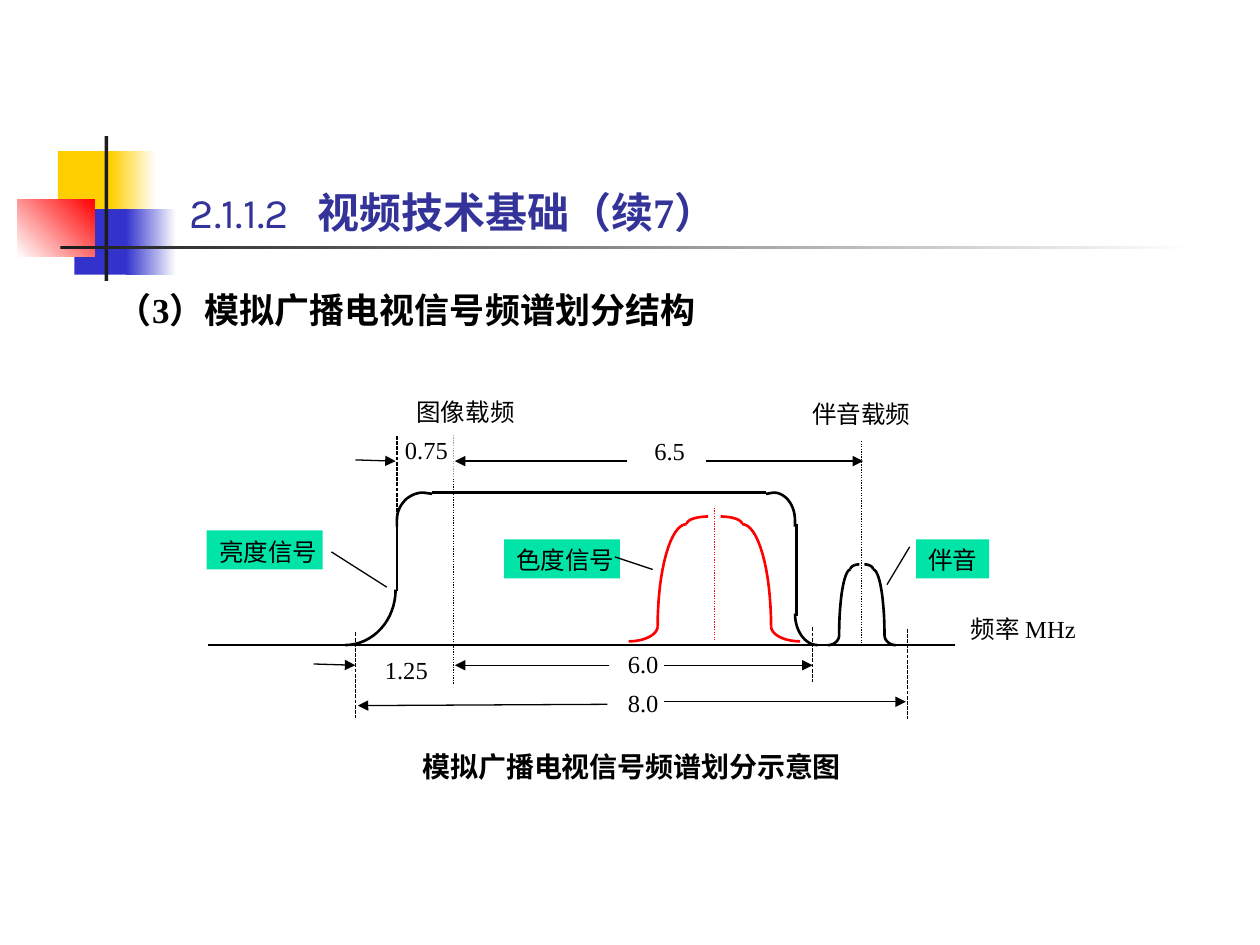
from collections import namedtuple
from math import cos, pi, sin

from lxml import etree
from pptx import Presentation
from pptx.dml.color import RGBColor
from pptx.enum.dml import MSO_LINE
from pptx.enum.shapes import MSO_CONNECTOR, MSO_SHAPE
from pptx.enum.text import MSO_ANCHOR, PP_ALIGN
from pptx.oxml.ns import qn
from pptx.util import Inches, Pt

RECT, STRAIGHT = MSO_SHAPE.RECTANGLE, MSO_CONNECTOR.STRAIGHT
DOT, DASH = MSO_LINE.ROUND_DOT, MSO_LINE.SQUARE_DOT
LEFT, CENTER = PP_ALIGN.LEFT, PP_ALIGN.CENTER
TOP, BOTTOM = MSO_ANCHOR.TOP, MSO_ANCHOR.BOTTOM
SERIF, SANS = "Times New Roman", "Karla"
BLACK, WHITE, RED = "000000", "FFFFFF", "FF0000"
GOLD, BLUE, DARK = "FFCF01", "3333CC", "1C1C1C"
NAVY, MINT = "333399", "00E4A8"

Area = namedtuple("Area", "shapes left top")


def color(code):
    """Turn a hex string into a colour."""
    return RGBColor.from_string(code)


def spot(area, x, y):
    """Give the slide position of a point in an area."""
    return Inches(area.left + x), Inches(area.top + y)


def block(area, x, y, w, h, fill, end=None, angle=0):
    """Add a plain or graded rectangle without outline."""
    shape = area.shapes.add_shape(RECT, *spot(area, x, y), Inches(w), Inches(h))
    shape.shadow.inherit = False
    shape.line.fill.background()
    if end:
        shape.fill.gradient()
        shape.fill.gradient_angle = angle
        for stop, code in zip(shape.fill.gradient_stops, (fill, end)):
            stop.color.rgb = color(code)
    else:
        shape.fill.solid()
        shape.fill.fore_color.rgb = color(fill)
    return shape


def write(shape, text, size=14, font=SERIF, ink=BLACK, bold=False,
          align=CENTER, anchor=TOP, inset=(0, 0), wrap=True):
    """Add formatted text to the first paragraph of a shape."""
    frame = shape.text_frame
    frame.word_wrap = wrap
    frame.vertical_anchor = anchor
    frame.margin_left = frame.margin_right = Inches(inset[0])
    frame.margin_top = frame.margin_bottom = Inches(inset[1])
    para = frame.paragraphs[0]
    para.alignment = align
    run = para.add_run()
    run.text = text
    run.font.size, run.font.name, run.font.bold = Pt(size), font, bold
    run.font.color.rgb = color(ink)


def line(area, x1, y1, x2, y2, ink=BLACK, width=0.75, dash=None, arrow=False):
    """Add a straight line, with an arrowhead at its end if asked."""
    wire = area.shapes.add_connector(
        STRAIGHT, *spot(area, x1, y1), *spot(area, x2, y2))
    wire.line.color.rgb = color(ink)
    wire.line.width = Pt(width)
    if dash:
        wire.line.dash_style = dash
    if arrow:
        etree.SubElement(wire.line._get_or_add_ln(), qn("a:tailEnd"),
                         type="triangle", w="med", len="med")
    etree.SubElement(wire._element.spPr, qn("a:effectLst"))


def curve(area, start, end, ink=BLACK, lead=(), tail=()):
    """Add a quarter ellipse that starts level and ends upright."""
    (x1, y1), (x2, y2) = start, end
    turns = [pi / 2 * i / 16 for i in range(17)]
    arc = [(x1 + (x2 - x1) * sin(t), y2 + (y1 - y2) * cos(t)) for t in turns]
    points = [spot(area, *p) for p in [*lead, *arc, *tail]]
    pen = area.shapes.build_freeform(*points[0], scale=1.0)
    pen.add_line_segments(points[1:], close=False)
    shape = pen.convert_to_shape()
    shape.shadow.inherit = False
    shape.fill.background()
    shape.line.color.rgb = color(ink)
    shape.line.width = Pt(1.5)


def ornament(area):
    """Draw the coloured squares and the two rules."""
    block(area, 0.32, 0.12, 0.48, 0.52, GOLD)
    block(area, 0.74, 0.12, 0.36, 0.52, GOLD, WHITE)
    block(area, 0.45, 0.58, 0.46, 0.52, BLUE)
    block(area, 0.86, 0.58, 0.4, 0.52, BLUE, WHITE)
    block(area, 0, 0.5, 0.61, 0.46, WHITE, RED, 45)
    block(area, 0.69, 0, 0.03, 1.15, DARK)
    block(area, 0.34, 0.87, 9, 0.03, DARK, WHITE)


def heading(area):
    """Write the slide title and the topic below it."""
    title = area.shapes.add_textbox(
        *spot(area, 0.58, 0), Inches(4.84), Inches(0.74))
    props = title.text_frame.paragraphs[0]._p.get_or_add_pPr()
    tabs = etree.SubElement(props, qn("a:tabLst"))
    etree.SubElement(tabs, qn("a:tab"), pos=str(Inches(1.01)), algn="l")
    style = dict(size=24, ink=NAVY, align=LEFT, anchor=BOTTOM,
                 inset=(0.1, 0.05))
    write(title, "2.1.1.2\t", font=SANS, **style)
    write(title, "视频技术基础（续7）", bold=True, **style)
    topic = area.shapes.add_textbox(
        *spot(area, 0, 1.05), Inches(8.25), Inches(0.5))
    write(topic, "（3）模拟广播电视信号频谱划分结构", size=20, bold=True,
          align=LEFT, inset=(0.1, 0.05))


def bell(area, mid, xs, ys, ink):
    """Draw a bell from cap, flank and foot on both sides of its middle."""
    gap, cap, flank, foot = xs
    peak, neck, knee, base = ys
    for side in (-1, 1):
        parts = ((gap, peak, cap, neck), (cap, neck, flank, knee),
                 (foot, base, flank, knee))
        for x1, y1, x2, y2 in parts:
            curve(area, (mid + side * x1, y1), (mid + side * x2, y2), ink)


def bands(area):
    """Draw the axis and the luma, chroma and sound bands."""
    line(area, 0, 1.97, 6.72, 1.97)
    line(area, 1.78, 0.76, 4.43, 0.76, width=1.5)
    line(area, 1.5, 1.02, 1.5, 1.54, width=1.5)
    line(area, 4.67, 1.01, 4.67, 1.74, width=1.5)
    curve(area, (1.71, 0.76), (1.5, 0.98), lead=[(1.78, 0.77)],
          tail=[(1.5, 1.03)])
    curve(area, (4.49, 0.76), (4.66, 0.98), lead=[(4.43, 0.77)],
          tail=[(4.66, 1.03)])
    curve(area, (1.09, 1.97), (1.49, 1.53))
    curve(area, (4.84, 1.97), (4.66, 1.72))
    bell(area, 5.19, (0.02, 0.09, 0.18, 0.27), (1.33, 1.37, 1.89, 1.97), BLACK)
    bell(area, 4.02, (0.05, 0.22, 0.45, 0.68), (0.95, 1.01, 1.82, 1.94), RED)


def scale(area):
    """Draw the guides, labels and arrows that measure the bands."""
    for x, y1, y2, ink, dash in (
            (1.95, 0.28, 2.28, BLACK, DOT), (5.19, 0.35, 1.97, BLACK, DOT),
            (4.02, 0.88, 1.93, RED, DOT), (1.17, 1.87, 2.55, BLACK, DASH),
            (5.55, 1.84, 2.56, BLACK, DASH), (4.8, 1.83, 2.26, BLACK, DASH),
            (1.5, 0.31, 0.96, BLACK, DASH)):
        line(area, x, y1, x, y2, ink, dash=dash)
    for text, x, y, w, h in (
            ("6.0", 3.26, 2, 0.39, 0.29), ("6.5", 3.46, 0.31, 0.41, 0.26),
            ("8.0", 3.24, 2.31, 0.43, 0.23), ("1.25", 1.32, 2.05, 0.51, 0.32),
            ("0.75", 1.52, 0.3, 0.43, 0.35), ("图像载频", 1.62, 0, 0.85, 0.3),
            ("伴音载频", 4.76, 0.02, 0.85, 0.27),
            ("频率 MHz", 5.93, 1.72, 1.08, 0.35)):
        write(block(area, x, y, w, h, WHITE), text)
    for x1, y1, x2, y2 in (
            (3.18, 2.13, 1.96, 2.13), (3.62, 2.13, 4.8, 2.13),
            (3.33, 0.51, 1.96, 0.51), (3.95, 0.51, 5.2, 0.51),
            (3.17, 2.44, 1.19, 2.45), (3.62, 2.42, 5.54, 2.42),
            (1.17, 0.5, 1.49, 0.51), (0.84, 2.12, 1.17, 2.13)):
        line(area, x1, y1, x2, y2, arrow=True)


def notes(area):
    """Add the green band names, their leaders and the caption."""
    for text, x, y, w, leader in (
            ("伴音", 5.62, 1.13, 0.58, (5.39, 1.49, 5.57, 1.19)),
            ("亮度信号", -0.01, 1.06, 0.92, (1.42, 1.51, 0.98, 1.23)),
            ("色度信号", 2.35, 1.13, 0.92, (3.53, 1.37, 3.23, 1.27))):
        write(block(area, x, y, w, 0.31, MINT), text, font=SANS, align=LEFT,
              inset=(0.1, 0.05), wrap=False)
        line(area, *leader)
    caption = area.shapes.add_textbox(
        *spot(area, 1.27, 2.75), Inches(4.19), Inches(0.44))
    write(caption, "模拟广播电视信号频谱划分示意图", size=16, bold=True,
          inset=(0.1, 0.05))


def main():
    """Build and save the slide."""
    deck = Presentation()
    deck.slide_width, deck.slide_height = Inches(10), Inches(7.5)
    shapes = deck.slides.add_slide(deck.slide_layouts[6]).shapes
    ornament(Area(shapes, 0.14, 1.08))
    heading(Area(shapes, 0.83, 1.19))
    chart = Area(shapes, 1.65, 3.15)
    bands(chart)
    scale(chart)
    notes(chart)
    deck.save("out.pptx")


if __name__ == "__main__":
    main()
